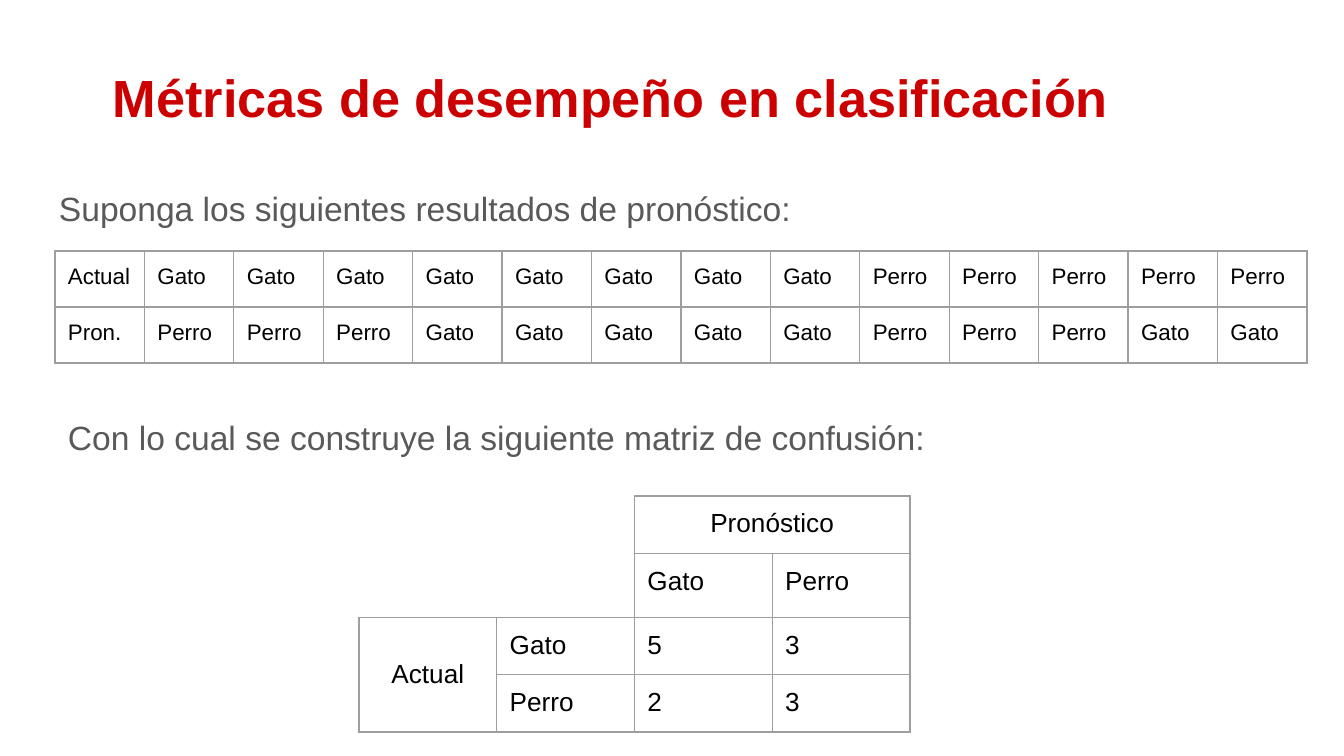
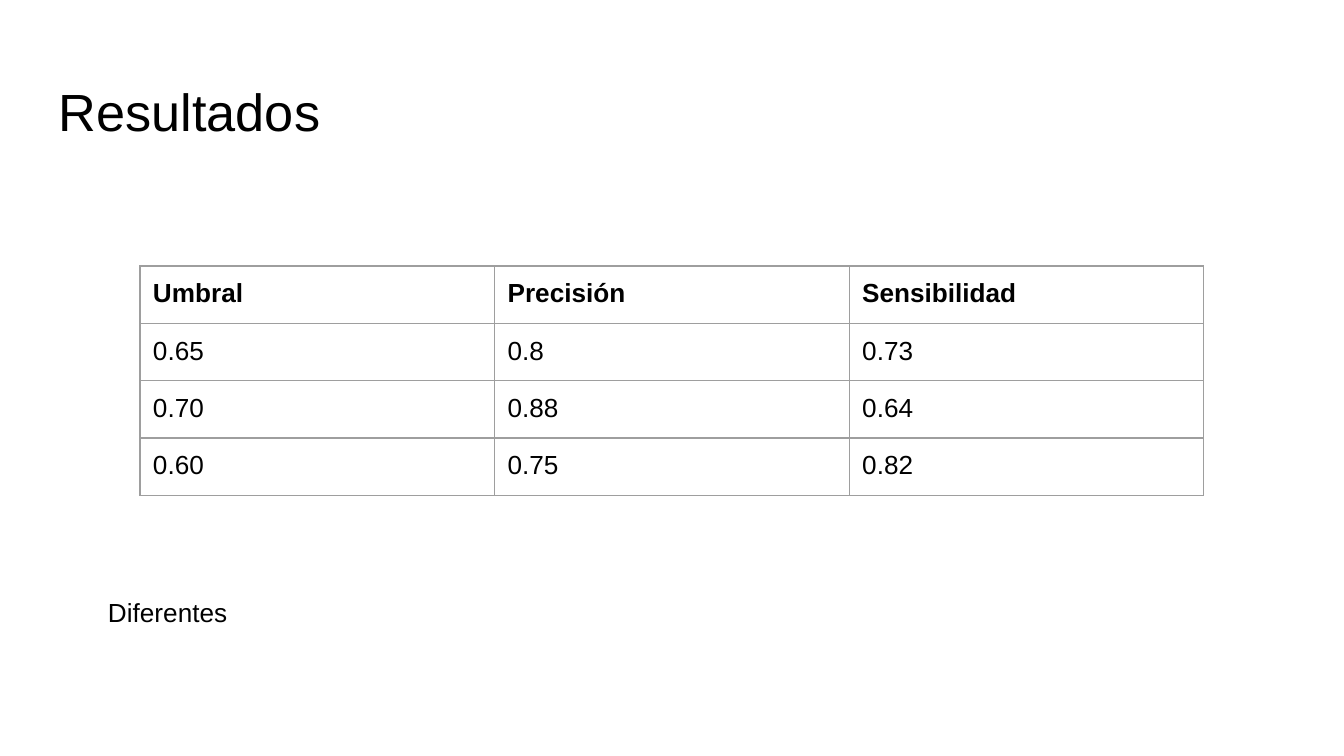
from lxml import etree
from pptx import Presentation
from pptx.dml.color import RGBColor
from pptx.enum.text import MSO_ANCHOR, PP_ALIGN
from pptx.oxml.ns import qn
from pptx.util import Emu, Pt

SLIDE_W, SLIDE_H = 1344, 756
INSET = 13
ROW_H = 56
HEADING_W, HEADING_H = 1253, 85
FONT = "Arial"
RED = RGBColor(0xCC, 0x00, 0x00)
BLACK = RGBColor(0x00, 0x00, 0x00)
GREY = RGBColor(0x59, 0x59, 0x59)
RULE = RGBColor(0x9E, 0x9E, 0x9E)
NO_STYLE = "{2D5ABB26-0587-4C30-8999-92F81FD0307C}"

ACTUAL = ["Gato"] * 8 + ["Perro"] * 5
FORECAST = ["Perro"] * 3 + ["Gato"] * 5 + ["Perro"] * 3 + ["Gato"] * 2
CONFUSION = [
    ["", "", "Pronóstico", ""],
    ["", "", "Gato", "Perro"],
    ["Actual", "Gato", "5", "3"],
    ["", "Perro", "2", "3"],
]
RESULTS = [
    ["Umbral", "Precisión", "Sensibilidad"],
    ["0.65", "0.8", "0.73"],
    ["0.70", "0.88", "0.64"],
    ["0.60", "0.75", "0.82"],
]


def px(length):
    return Emu(round(length * 9144000 / SLIDE_W))


def write(paragraph, text, size, color=BLACK, bold=False):
    run = paragraph.add_run()
    run.text = text
    run.font.name = FONT
    run.font.size = Pt(size)
    run.font.bold = bold
    run.font.color.rgb = color


def set_insets(holder):
    """Give a text frame or a table cell the shared inner margins."""
    holder.margin_left = holder.margin_right = px(INSET)
    holder.margin_top = holder.margin_bottom = px(INSET)


def add_text(slide, box, text, size, color=BLACK, bold=False, spacing=1.0):
    frame = slide.shapes.add_textbox(*map(px, box)).text_frame
    frame.word_wrap = True
    set_insets(frame)
    paragraph = frame.paragraphs[0]
    paragraph.line_spacing = spacing
    write(paragraph, text, size, color, bold)


def add_title(slide, left, top, text, color=BLACK, bold=False):
    add_text(slide, (left, top, HEADING_W, HEADING_H), text, 28, color, bold)


def add_lead(slide, left, top, text):
    add_text(slide, (left, top, HEADING_W, HEADING_H), text, 18, GREY, spacing=1.15)


def rule_cell(cell, sides="LRTB"):
    """Draw the named sides of a cell; they go before its fill in the XML."""
    properties = cell._tc.get_or_add_tcPr()
    for position, side in enumerate(sides):
        line = etree.Element(qn(f"a:ln{side}"), w=str(Pt(0.75)))
        fill = etree.SubElement(line, qn("a:solidFill"))
        etree.SubElement(fill, qn("a:srgbClr"), val=str(RULE))
        properties.insert(position, line)


def add_grid(slide, left, top, width, rows, size, bold_header=False, open_cells=()):
    """Add a plain ruled table; cells in open_cells get no rules."""
    frame = slide.shapes.add_table(
        len(rows), len(rows[0]), px(left), px(top), px(width), px(ROW_H * len(rows))
    )
    table = frame.table
    table.first_row = table.horz_banding = False
    table._tbl.tblPr.find(qn("a:tableStyleId")).text = NO_STYLE
    for row, texts in enumerate(rows):
        for column, text in enumerate(texts):
            cell = table.cell(row, column)
            cell.fill.background()
            if (row, column) not in open_cells:
                rule_cell(cell)
            if text:
                set_insets(cell)
                write(cell.text_frame.paragraphs[0], text, size,
                      bold=bold_header and row == 0)
    return table


def add_confusion_matrix(slide, left, top, width):
    corner = [(row, column) for row in range(2) for column in range(2)]
    table = add_grid(slide, left, top, width, CONFUSION, 14, open_cells=corner)
    table.rows[1].height = px(64)
    table.cell(0, 0).merge(table.cell(1, 1))
    rule_cell(table.cell(0, 0), "RB")

    forecast, actual = table.cell(0, 2), table.cell(2, 0)
    forecast.merge(table.cell(0, 3))
    actual.merge(table.cell(3, 0))
    actual.vertical_anchor = MSO_ANCHOR.MIDDLE
    for label in (forecast, actual):
        label.text_frame.paragraphs[0].alignment = PP_ALIGN.CENTER


def build_metrics(slide):
    add_title(slide, 100, 52, "Métricas de desempeño en clasificación", RED, True)
    add_lead(slide, 46, 169, "Suponga los siguientes resultados de pronóstico:")
    add_grid(slide, 55, 251, 1252, [["Actual", *ACTUAL], ["Pron.", *FORECAST]], 12)
    add_confusion_matrix(slide, 359, 496, 551)
    add_lead(slide, 55, 398, "Con lo cual se construye la siguiente matriz de confusión:")


def build_results(slide):
    add_title(slide, 46, 66, "Resultados")
    add_grid(slide, 140, 266, 1064, RESULTS, 14, bold_header=True)
    add_text(slide, (95, 583, 1056, 124), "Diferentes", 14)


def main():
    deck = Presentation()
    deck.slide_width, deck.slide_height = px(SLIDE_W), px(SLIDE_H)
    for build in (build_metrics, build_results):
        build(deck.slides.add_slide(deck.slide_layouts[6]))
    deck.save("out.pptx")


if __name__ == "__main__":
    main()
